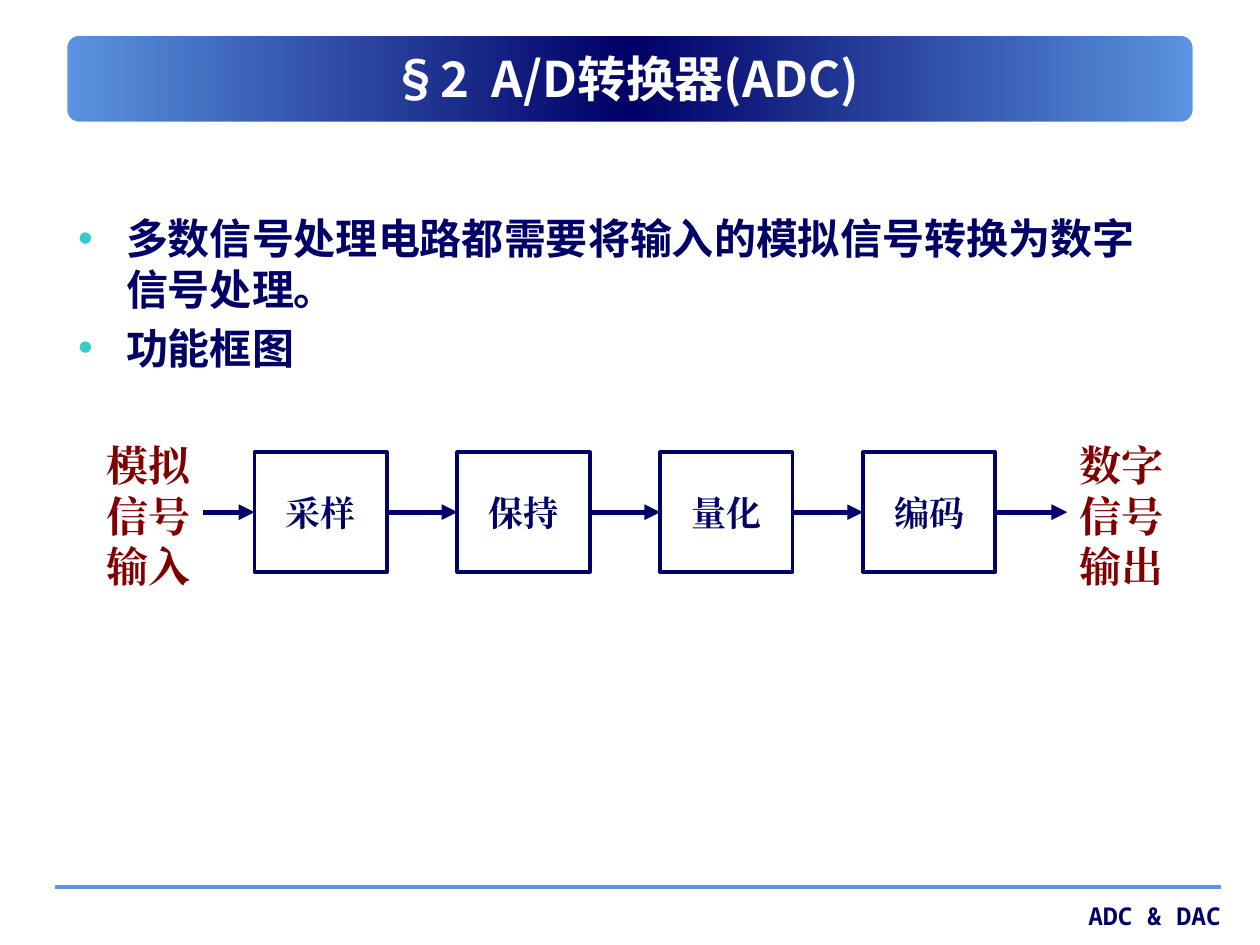
from lxml import etree
from pptx import Presentation
from pptx.dml.color import RGBColor
from pptx.enum.shapes import MSO_CONNECTOR, MSO_SHAPE
from pptx.enum.text import MSO_ANCHOR, MSO_AUTO_SIZE, PP_ALIGN
from pptx.oxml.ns import qn
from pptx.util import Inches, Pt

STRAIGHT = MSO_CONNECTOR.STRAIGHT
RECTANGLE, ROUNDED = MSO_SHAPE.RECTANGLE, MSO_SHAPE.ROUNDED_RECTANGLE
LEFT, CENTER, RIGHT = PP_ALIGN.LEFT, PP_ALIGN.CENTER, PP_ALIGN.RIGHT
TOP, MIDDLE = MSO_ANCHOR.TOP, MSO_ANCHOR.MIDDLE
NO_FIT = MSO_AUTO_SIZE.NONE
LEFT_SIDE, RIGHT_SIDE = 1, 3

NAVY, BLUE, TEAL, MAROON, WHITE = "000066", "5B94E1", "33CCCC", "800000", "FFFFFF"
SERIF = "Times New Roman"

STAGES = ["采样", "保持", "量化", "编码"]
STAGE_LEFT, STAGE_PITCH = 2.02, 1.61
STAGE_TOP, STAGE_WIDTH, STAGE_HEIGHT = 3.59, 1.05, 0.95
FLOW_Y = STAGE_TOP + STAGE_HEIGHT / 2
FLOW_START, FLOW_END = 1.61, 8.47


def color(value):
    return RGBColor.from_string(value)


def add_element(parent, tag, **attributes):
    return etree.SubElement(parent, qn(tag), attributes)


def place(shape, left, top, width, height):
    sizes = {"left": left, "top": top, "width": width, "height": height}
    for name, value in sizes.items():
        setattr(shape, name, Inches(value))


def write(shape, lines, font, size, ink, align=LEFT, anchor=TOP, wrap=True,
          bullet=False):
    """Fill a shape with bold paragraphs of one format."""
    frame = shape.text_frame
    frame.text = "\n".join(lines)
    layout = {"word_wrap": wrap, "auto_size": NO_FIT, "vertical_anchor": anchor}
    for name, value in layout.items():
        setattr(frame, name, value)
    for index, para in enumerate(frame.paragraphs):
        para.alignment = align
        para.space_before = Pt(0.2 * size if index else 0)
        if bullet:
            add_bullet(para)
        for span in para.runs:
            for name, value in {"name": font, "size": Pt(size), "bold": True}.items():
                setattr(span.font, name, value)
            span.font.color.rgb = color(ink)
            add_element(span.font._element, "a:ea", typeface=font)


def add_bullet(para):
    properties = para._p.get_or_add_pPr()
    indent = Inches(0.38)
    properties.set("marL", str(indent))
    properties.set("indent", str(-indent))
    tint = add_element(properties, "a:buClr")
    add_element(tint, "a:srgbClr", val=TEAL)
    add_element(properties, "a:buChar", char="•")


def add_label(page, bounds, text, font, size, ink, align=LEFT):
    box = page.shapes.add_textbox(*map(Inches, bounds))
    write(box, [text], font, size, ink, align)


def add_banner(page):
    """Put a gradient bar behind the title."""
    banner = page.shapes.add_shape(ROUNDED, *map(Inches, (0.5, 0.25, 9, 0.75)))
    banner.shadow.inherit = False
    banner.line.color.rgb = color(WHITE)
    banner.line.width = Pt(5)
    banner.fill.gradient()
    banner.fill.gradient_angle = 0
    stops = banner.fill._fill._gradFill.gsLst
    for stop in list(stops):
        stops.remove(stop)
    for share, tint in [(0, BLUE), (50, NAVY), (100, BLUE)]:
        stop = add_element(stops, "a:gs", pos=str(share * 1000))
        add_element(stop, "a:srgbClr", val=tint)
    page.shapes._spTree.insert(2, banner._element)


def add_line(page, start, end, ink, width, arrow=False):
    line = page.shapes.add_connector(STRAIGHT, *map(Inches, (*start, *end)))
    line.line.color.rgb = color(ink)
    line.line.width = Pt(width)
    if arrow:
        add_element(line.line._get_or_add_ln(), "a:tailEnd", type="triangle")
    add_element(line._element.spPr, "a:effectLst")
    return line


def add_stage(page, column, text):
    left = STAGE_LEFT + column * STAGE_PITCH
    bounds = (left, STAGE_TOP, STAGE_WIDTH, STAGE_HEIGHT)
    stage = page.shapes.add_shape(RECTANGLE, *map(Inches, bounds))
    stage.shadow.inherit = False
    stage.fill.background()
    stage.line.color.rgb = color(NAVY)
    stage.line.width = Pt(2.25)
    stage.text_frame.margin_left = stage.text_frame.margin_right = 0
    write(stage, [text], SERIF, 20, NAVY, CENTER, MIDDLE, wrap=False)
    return stage


def add_flow(page):
    stages = [add_stage(page, column, text) for column, text in enumerate(STAGES)]
    for before, after in zip([None, *stages], [*stages, None]):
        arrow = add_line(page, (FLOW_START, FLOW_Y), (FLOW_END, FLOW_Y),
                         NAVY, 3, arrow=True)
        if before:
            arrow.begin_connect(before, RIGHT_SIDE)
        if after:
            arrow.end_connect(after, LEFT_SIDE)
    for left, text in [(0.75, "模拟信号输入"), (FLOW_END, "数字信号输出")]:
        add_label(page, (left, 3.44, 1.1, 1.3), text, SERIF, 24, MAROON)


def main():
    deck = Presentation()
    deck.slide_width, deck.slide_height = Inches(10), Inches(7.5)
    page = deck.slides.add_slide(deck.slide_layouts[1])
    title, body = page.placeholders
    add_banner(page)
    add_line(page, (0.44, 7.04), (9.69, 7.04), BLUE, 2)
    add_label(page, (7.42, 7.1, 2.37, 0.33), "ADC & DAC",
              "Noto Sans Mono", 14, NAVY, RIGHT)
    place(title, 0.59, 0.28, 8.75, 0.67)
    write(title, ["§2  A/D转换器(ADC)"], "Noto Sans CJK SC", 28, WHITE,
          CENTER, MIDDLE)
    place(body, 0.52, 1.64, 8.91, 4.98)
    write(body, ["多数信号处理电路都需要将输入的模拟信号转换为数字信号处理。", "功能框图"],
          "DejaVu Sans", 24, NAVY, bullet=True)
    add_flow(page)
    deck.save("out.pptx")


if __name__ == "__main__":
    main()
